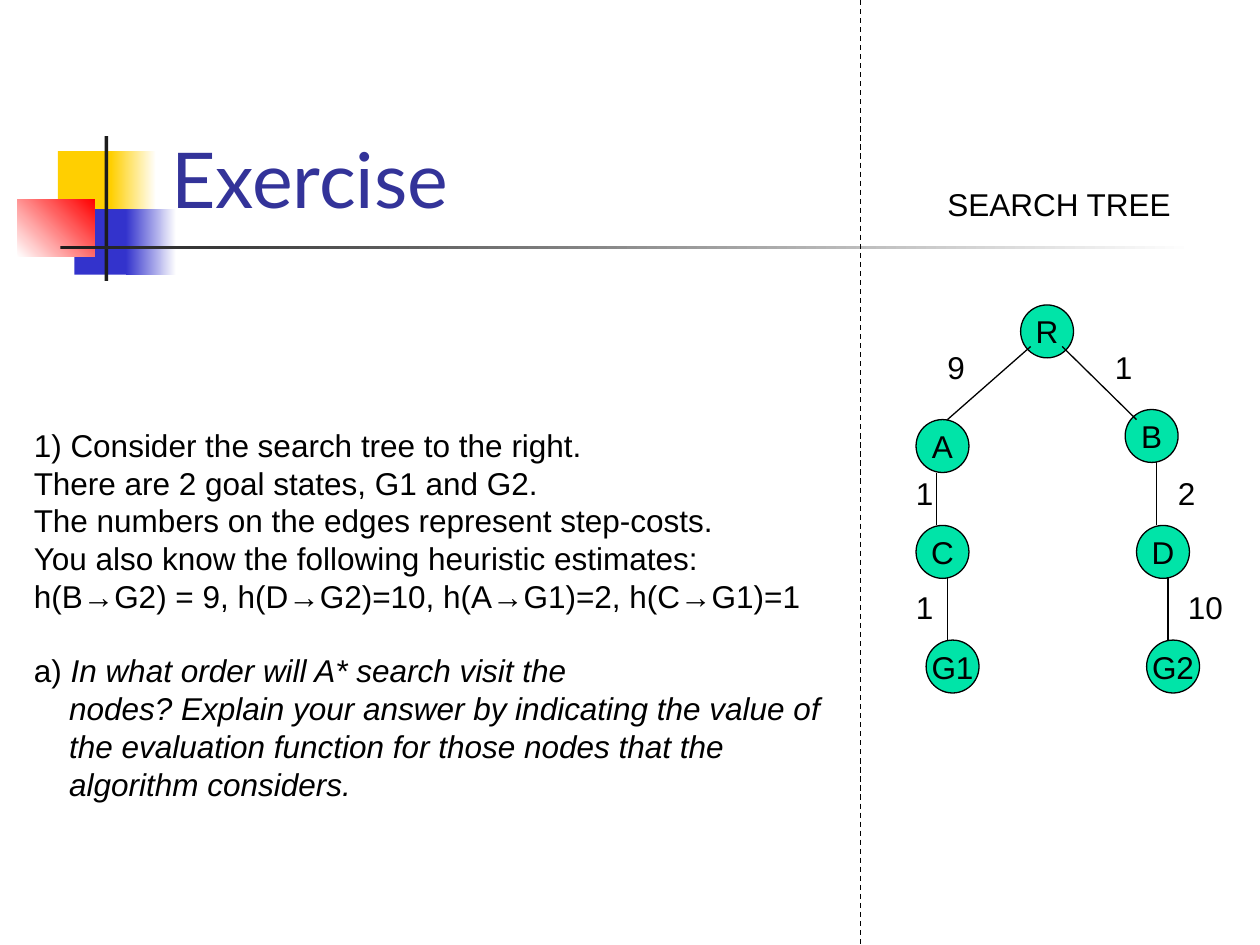
from dataclasses import dataclass

from lxml.etree import SubElement
from pptx import Presentation
from pptx.dml.color import RGBColor
from pptx.enum.dml import MSO_LINE
from pptx.enum.shapes import MSO_CONNECTOR as Connector, MSO_SHAPE as Shape
from pptx.enum.text import MSO_ANCHOR as Anchor, PP_ALIGN as Align
from pptx.oxml.ns import qn
from pptx.util import Inches, Pt


@dataclass(frozen=True)
class Theme:
    yellow: str = "FFCF01"
    blue: str = "3333CC"
    red: str = "FF0000"
    white: str = "FFFFFF"
    charcoal: str = "1C1C1C"
    black: str = "000000"
    title: str = "333399"
    node: str = "00E4A8"
    title_font: str = "Lato"
    body_font: str = "Arial"
    title_size: float = 44
    body_size: float = 18
    line_width: float = 0.75


THEME = Theme()
NODE_SIZE = 0.42

# left, top, width, height, colours from first to last, gradient angle
ORNAMENTS = [
    (0.46, 1.2, 0.48, 0.52, [THEME.yellow], 0),
    (0.88, 1.2, 0.36, 0.52, [THEME.yellow, THEME.white], 0),
    (0.59, 1.66, 0.46, 0.52, [THEME.blue], 0),
    (1, 1.66, 0.4, 0.52, [THEME.blue, THEME.white], 0),
    (0.14, 1.58, 0.61, 0.46, [THEME.white, THEME.red], 45),
    (0.83, 1.08, 0.03, 1.15, [THEME.charcoal], 0),
    (0.48, 1.95, 9, 0.03, [THEME.charcoal, THEME.white], 0),
]
NODES = [
    ("G1", 7.35, 5.08), ("G2", 9.1, 5.08),
    ("C", 7.27, 4.17), ("D", 9.02, 4.17),
    ("A", 7.27, 3.33), ("B", 8.93, 3.25),
    ("R", 8.1, 2.42),
]
EDGES = [
    (8.18, 2.75, 7.52, 3.33), (8.43, 2.75, 9.02, 3.33),
    (7.43, 3.75, 7.43, 4.17), (7.52, 4.58, 7.52, 5.08),
    (9.18, 3.67, 9.18, 4.17), (9.27, 4.58, 9.27, 5.08),
]
# step cost, left, top, width
COSTS = [
    ("1", 8.75, 2.71, 0.34), ("2", 9.25, 3.71, 0.34), ("10", 9.33, 4.62, 0.48),
    ("9", 7.42, 2.71, 0.34), ("1", 7.17, 3.71, 0.34), ("1", 7.17, 4.62, 0.34),
]
STATEMENT = [
    "1) Consider the search tree to the right.",
    "There are 2 goal states, G1 and G2.",
    "The numbers on the edges represent step-costs.",
    "You also know the following heuristic estimates:",
    "h(B→G2) = 9, h(D→G2)=10, h(A→G1)=2, h(C→G1)=1",
]
QUESTION_START = "In what order will A* search visit the"
QUESTION_REST = [
    "nodes? Explain your answer by indicating the value of",
    "the evaluation function for those nodes that the",
    "algorithm considers.",
]


def rgb(value):
    return RGBColor.from_string(value)


def add_span(para, text, italic=False, font=THEME.body_font,
             size=THEME.body_size, color=THEME.black):
    span = para.add_run()
    span.text = text
    span.font.name = font
    span.font.size = Pt(size)
    span.font.italic = italic
    span.font.color.rgb = rgb(color)


def add_box(shapes, left, top, width, height, wrap=False):
    """Add a text box and return its text frame."""
    box = shapes.add_textbox(Inches(left), Inches(top), Inches(width), Inches(height))
    box.text_frame.word_wrap = wrap
    return box.text_frame


def add_label(shapes, text, left, top, width):
    add_span(add_box(shapes, left, top, width, 0.4).paragraphs[0], text)


def add_ornament(shapes, left, top, width, height, colors, angle):
    block = shapes.add_shape(Shape.RECTANGLE, Inches(left), Inches(top),
                             Inches(width), Inches(height))
    block.shadow.inherit = False
    block.line.fill.background()
    if len(colors) == 1:
        block.fill.solid()
        block.fill.fore_color.rgb = rgb(colors[0])
        return
    block.fill.gradient()
    block.fill.gradient_angle = angle
    for stop, color, position in zip(block.fill.gradient_stops, colors, (0, 1)):
        stop.color.rgb = rgb(color)
        stop.position = position


def add_node(shapes, name, left, top):
    node = shapes.add_shape(Shape.OVAL, Inches(left), Inches(top),
                            Inches(NODE_SIZE), Inches(NODE_SIZE))
    node.shadow.inherit = False
    node.fill.solid()
    node.fill.fore_color.rgb = rgb(THEME.node)
    node.line.color.rgb = rgb(THEME.black)
    node.line.width = Pt(THEME.line_width)
    frame = node.text_frame
    frame.word_wrap = False
    frame.vertical_anchor = Anchor.MIDDLE
    frame.paragraphs[0].alignment = Align.CENTER
    add_span(frame.paragraphs[0], name)


def add_line(shapes, x1, y1, x2, y2, dashed=False):
    line = shapes.add_connector(Connector.STRAIGHT, Inches(x1), Inches(y1),
                                Inches(x2), Inches(y2))
    line.line.color.rgb = rgb(THEME.black)
    line.line.width = Pt(THEME.line_width)
    if dashed:
        line.line.dash_style = MSO_LINE.DASH
    SubElement(line._element.spPr, qn("a:effectLst"))


def add_exercise(shapes):
    frame = add_box(shapes, 0.17, 3.33, 6.44, 3.1)
    para = frame.paragraphs[0]
    for text in STATEMENT:
        add_span(para, text)
        para = frame.add_paragraph()
    para.space_before = Pt(21)
    add_span(para, "a) ")
    add_span(para, QUESTION_START, italic=True)
    for text in QUESTION_REST:
        para = frame.add_paragraph()
        para._p.get_or_add_pPr().set("marL", str(Inches(0.28)))
        add_span(para, text, italic=True)


def add_tree(page):
    shapes = page.shapes.add_group_shape().shapes
    for node in NODES:
        add_node(shapes, *node)
    for edge in EDGES:
        add_line(shapes, *edge)
    for cost in COSTS:
        add_label(shapes, *cost)


def add_title(shapes, text):
    frame = add_box(shapes, 1.26, 0.23, 8.52, 1.6, wrap=True)
    frame.vertical_anchor = Anchor.BOTTOM
    add_span(frame.paragraphs[0], text, font=THEME.title_font,
             size=THEME.title_size, color=THEME.title)


def main():
    deck = Presentation()
    deck.slide_width, deck.slide_height = Inches(10), Inches(7.5)
    page = deck.slides.add_slide(deck.slide_layouts[6])
    for ornament in ORNAMENTS:
        add_ornament(page.shapes, *ornament)
    add_label(page.shapes, "SEARCH TREE", 7.42, 1.42, 1.98)
    add_exercise(page.shapes)
    add_tree(page)
    add_line(page.shapes, 6.83, 0, 6.83, 7.5, dashed=True)
    add_title(page.shapes, "Exercise")
    deck.save("out.pptx")


if __name__ == "__main__":
    main()
